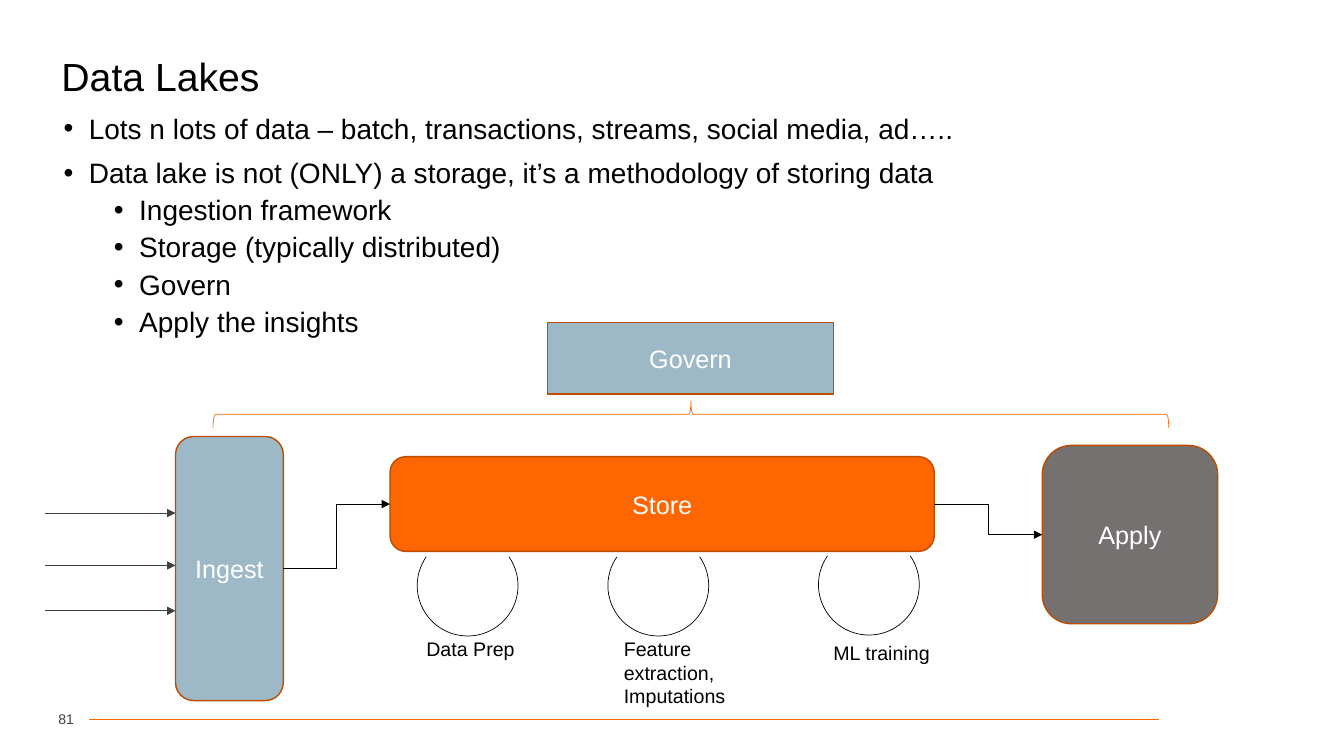
from dataclasses import dataclass

from pptx import Presentation
from pptx.dml.color import RGBColor
from pptx.enum import shapes, text
from pptx.oxml import ns, xmlchemy
from pptx.util import Pt

SHAPE, LINK = shapes.MSO_SHAPE, shapes.MSO_CONNECTOR
ANCHOR, ALIGN = text.MSO_ANCHOR, text.PP_ALIGN
LEFT_SITE, RIGHT_SITE = 1, 3


@dataclass(frozen=True)
class Theme:
    font: str = "Arial"
    title: float = 28
    body: float = 20
    box: float = 18
    label: float = 14
    number: float = 10
    hairline: float = 0.5
    outline: float = 1
    black: str = "000000"
    white: str = "FFFFFF"
    dark: str = "404040"
    orange: str = "FF6600"
    rust: str = "BD4B00"
    blue: str = "9DB9C8"
    gray: str = "767171"


T = Theme()


def rgb(color):
    return RGBColor.from_string(color)


def add_element(parent, tag, **attrs):
    el = xmlchemy.OxmlElement(tag)
    for name, value in attrs.items():
        el.set(name, str(value))
    parent.append(el)
    return el


def style(p, size, color):
    p.font.name, p.font.size = T.font, Pt(size)
    p.font.color.rgb = rgb(color)


def place(sp, x, y, w, h):
    sp.left, sp.top, sp.width, sp.height = Pt(x), Pt(y), Pt(w), Pt(h)


def add_text(s, x, y, w, h, lines, size, color):
    tf = s.shapes.add_textbox(Pt(x), Pt(y), Pt(w), Pt(h)).text_frame
    tf.word_wrap = True
    tf.text = "\n".join(lines)
    for p in tf.paragraphs:
        style(p, size, color)
    return tf


def add_shape(s, kind, x, y, w, h, line, weight, fill=None):
    sp = s.shapes.add_shape(kind, Pt(x), Pt(y), Pt(w), Pt(h))
    sp.shadow.inherit = False
    sp.line.color.rgb, sp.line.width = rgb(line), Pt(weight)
    if fill:
        sp.fill.solid()
        sp.fill.fore_color.rgb = rgb(fill)
    else:
        sp.fill.background()
    return sp


def add_stage(s, kind, x, y, w, h, name, fill):
    sp = add_shape(s, kind, x, y, w, h, T.rust, T.outline, fill)
    tf = sp.text_frame
    tf.text = name
    tf.vertical_anchor = ANCHOR.MIDDLE
    p = tf.paragraphs[0]
    p.alignment = ALIGN.CENTER
    style(p, T.box, T.white)
    return sp


def add_line(s, kind, x1, y1, x2, y2, color, arrow=True):
    c = s.shapes.add_connector(kind, Pt(x1), Pt(y1), Pt(x2), Pt(y2))
    c.line.color.rgb, c.line.width = rgb(color), Pt(T.hairline)
    spPr = c._element.spPr
    if arrow:
        add_element(spPr.find(ns.qn("a:ln")), "a:tailEnd", type="triangle")
    add_element(spPr, "a:effectLst")
    return c


def link(s, source, target):
    """Joins the right side of one stage to the left side of the next."""
    c = add_line(s, LINK.ELBOW, 0, 0, 0, 0, T.black)
    c.begin_connect(source, RIGHT_SITE)
    c.end_connect(target, LEFT_SITE)


def fill_title(s, x, y, w, h):
    sp = s.shapes.title
    place(sp, x, y, w, h)
    tf = sp.text_frame
    tf.text = "Data Lakes"
    tf.auto_size = text.MSO_AUTO_SIZE.NONE
    tf.vertical_anchor = ANCHOR.TOP
    p = tf.paragraphs[0]
    p.alignment, p.line_spacing = ALIGN.LEFT, 0.9
    style(p, T.title, T.black)


def fill_bullets(s, x, y, w, h):
    items = [
        (0, "Lots n lots of data – batch, transactions, streams, social media, ad….."),
        (0, "Data lake is not (ONLY) a storage, it’s a methodology of storing data"),
        (1, "Ingestion framework"),
        (1, "Storage (typically distributed)"),
        (1, "Govern"),
        (1, "Apply the insights"),
    ]
    sp = s.placeholders[1]
    place(sp, x, y, w, h)
    tf = sp.text_frame
    tf.text = "\n".join(item for _, item in items)
    tf.auto_size = text.MSO_AUTO_SIZE.NONE
    for i, (p, (level, _)) in enumerate(zip(tf.paragraphs, items)):
        p.level, p.line_spacing = level, 0.9
        p.space_before = Pt((10, 5)[level] if i else 0)
        pPr = p._p.get_or_add_pPr()
        pPr.set("marL", str(Pt(18 + 36 * level)))
        pPr.set("indent", str(Pt(-18)))
        add_element(pPr, "a:buFont", typeface=T.font)
        add_element(pPr, "a:buChar", char="•")
        style(p, T.body, T.black)


def draw_footer(s, x, y, w, h):
    middle = y + h / 2
    add_line(s, LINK.STRAIGHT, x + 39.5, middle, x + w, middle, T.orange, arrow=False)
    tf = add_text(s, x, y, 28.8, h, ["81"], T.number, T.dark)
    tf.margin_left = tf.margin_right = 0
    tf.vertical_anchor = ANCHOR.MIDDLE
    tf.paragraphs[0].alignment = ALIGN.RIGHT


def draw_loop(s, x, y, size):
    """Draws a circle that is open at the top."""
    arc = add_shape(s, SHAPE.ARC, x, y, size, size, T.black, T.hairline)
    arc.rotation = 106.7
    arc.adjustments[0], arc.adjustments[1] = 131.07, 64.85


def draw_brace(s, x, y, w, h):
    """Draws a brace that lies flat in the box and points up."""
    brace = add_shape(s, SHAPE.LEFT_BRACE, x + (w - h) / 2, y + (h - w) / 2, h, w,
                      T.orange, T.hairline)
    brace.rotation = 90
    brace.adjustments[0], brace.adjustments[1] = 0.08, 0.5


def draw_pipeline(s, x, y, w, h):
    ingest = add_stage(s, SHAPE.ROUNDED_RECTANGLE, x + 93, y + h - 188.6, 77, 188.6,
                       "Ingest", T.blue)
    store = add_stage(s, SHAPE.ROUNDED_RECTANGLE, x + 246.2, y + 95.8, 388.8, 67.7,
                      "Store", T.orange)
    apply = add_stage(s, SHAPE.ROUNDED_RECTANGLE, x + w - 125.3, y + 87.8, 125.3, 127.4,
                      "Apply", T.gray)
    add_stage(s, SHAPE.RECTANGLE, x + 358.6, y, 204.5, 51.1, "Govern", T.blue)
    for dy in (136.1, 173.5, 205.9):
        add_line(s, LINK.STRAIGHT, x, y + dy, x + 93, y + dy, T.dark)
    link(s, ingest, store)
    link(s, store, apply)
    draw_brace(s, x + 119.8, y + 55.9, 682.6, 19.4)

    tasks = [
        (265.6, 151.9, 265, 221, ["Data Prep"]),
        (401.8, 151.9, 406.1, 221, ["Feature extraction,", "Imputations"]),
        (552.2, 151.2, 555.8, 223.9, ["ML training"]),
    ]
    for loop_x, loop_y, label_x, label_y, lines in tasks:
        draw_loop(s, x + loop_x, y + loop_y, 72)
        add_text(s, x + label_x, y + label_y, 102.2, 24.5, lines, T.label, T.black)


def main():
    prs = Presentation()
    prs.slide_width, prs.slide_height = Pt(960), Pt(540)
    s = prs.slides.add_slide(prs.slide_layouts[1])
    draw_footer(s, 24, 503, 804, 21)
    fill_bullets(s, 38.2, 78.5, 886.3, 179.3)
    fill_title(s, 36.7, 37.4, 886.3, 56.2)
    draw_pipeline(s, 32.4, 230.4, 837.4, 270)
    prs.save("out.pptx")


if __name__ == "__main__":
    main()
